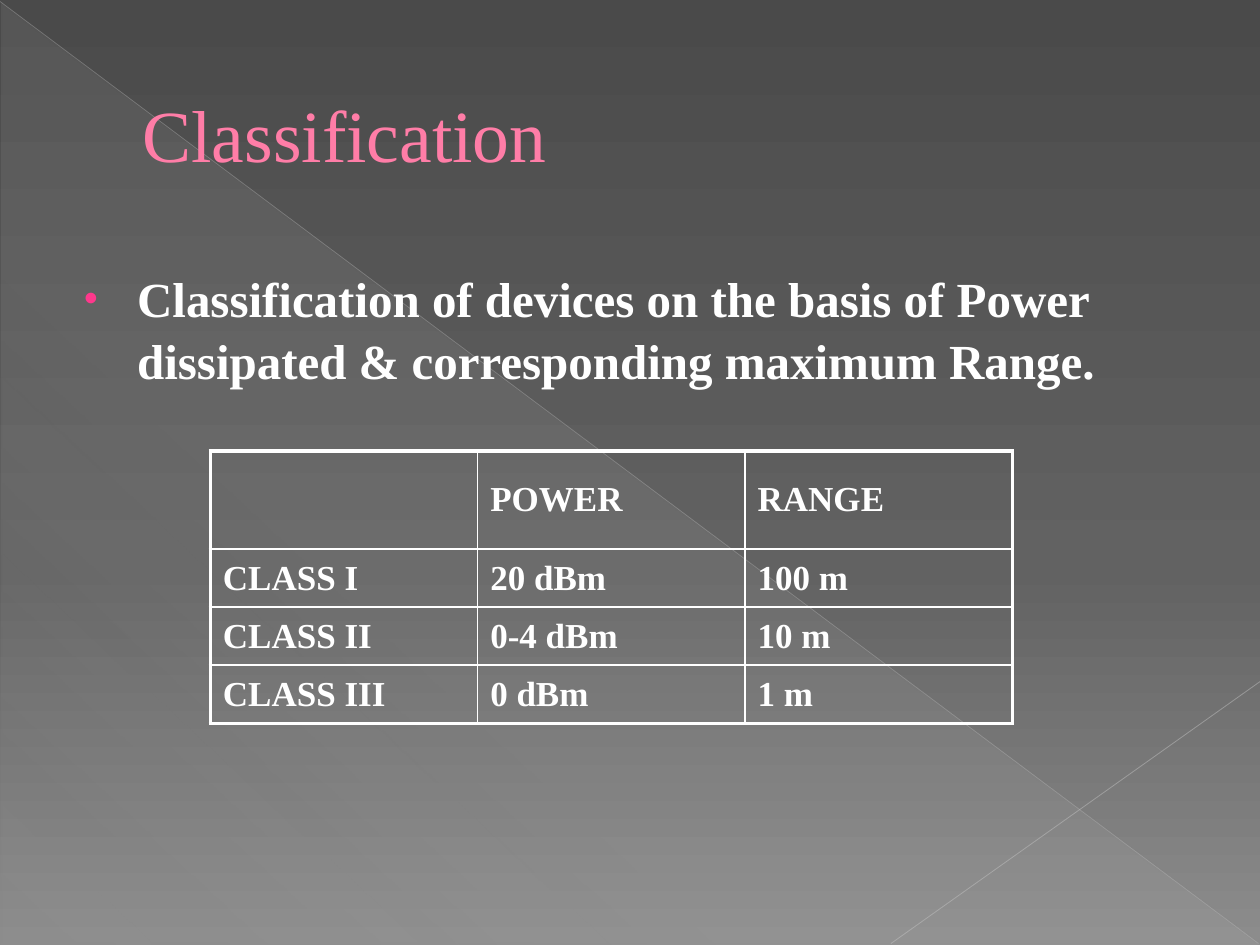
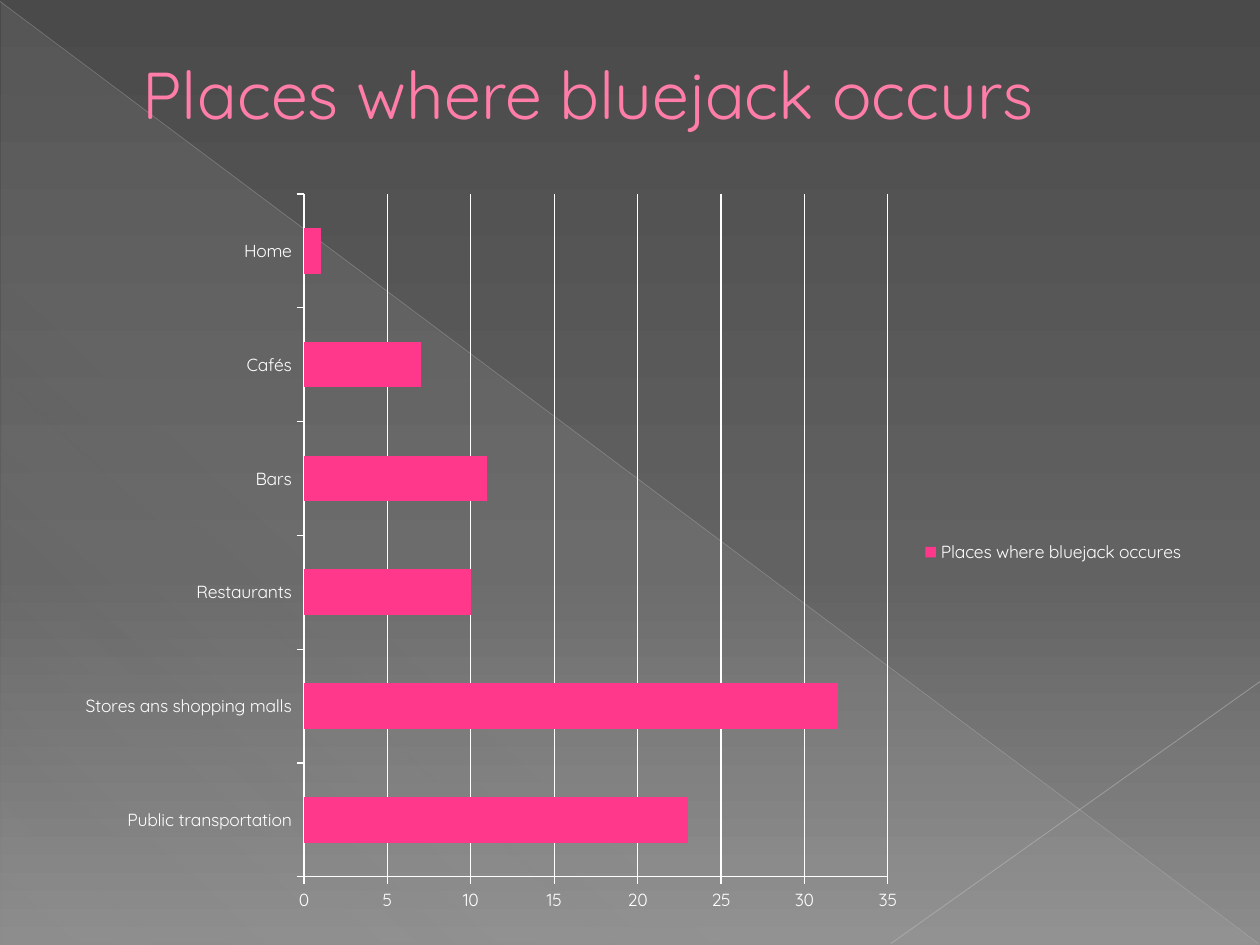
"""Build two slides on wireless device classes and the places where bluejacking occurs."""
import dataclasses
import typing

import pptx
import pptx.chart.data
import pptx.dml.color
import pptx.enum.chart
import pptx.enum.shapes
import pptx.enum.text
import pptx.oxml
import pptx.oxml.ns
import pptx.util

Cm = pptx.util.Cm
Pt = pptx.util.Pt

COLORS = {
    "title": "FF7DA7",
    "title_edge": "B12761",
    "accent": "FF388C",
    "text": "FFFFFF",
    "sky_top": "4A4A4A",
    "sky_mid": "626262",
    "sky_low": "8C8C8C",
    "sheen": "D2D2D2",
    "diagonal": "BFBFBF",
    "corner": "C6C6C6",
}
SERIF = "Times New Roman"
SANS = "Quicksand"


@dataclasses.dataclass(frozen=True)
class Box:
    left: float
    top: float
    width: float
    height: float

    def lengths(self) -> tuple:
        return Cm(self.left), Cm(self.top), Cm(self.width), Cm(self.height)


class Stop(typing.NamedTuple):
    position: int
    color: str
    opacity: int = 100


class Ray(typing.NamedTuple):
    start: tuple
    end: tuple
    color: str
    weight: float
    opacity: int


@dataclasses.dataclass(frozen=True)
class Title:
    text: str
    box: Box
    font: str
    size: float
    anchor: typing.Any
    inset: float


BACKGROUND = [Stop(0, "sky_top"), Stop(60, "sky_mid"), Stop(100, "sky_low")]
SHEEN = [Stop(0, "sheen", 10), Stop(70, "sheen", 8), Stop(100, "sheen", 1)]
RAYS = [
    Ray((0, 0.03), (25.37, 19.02), "diagonal", 0.39, 35),
    Ray((25.4, 13.74), (17.96, 19.02), "corner", 0.47, 45),
]
CLASS_ROWS = [
    ("", "POWER", "RANGE"),
    ("CLASS I", "20 dBm", "100 m"),
    ("CLASS II", "0-4 dBm", "10 m"),
    ("CLASS III", "0 dBm", "1 m"),
]
PLACES = {
    "Public transportation": 23,
    "Stores ans shopping malls": 32,
    "Restaurants": 10,
    "Bars": 11,
    "Cafés": 7,
    "Home": 1,
}


def rgb(name: str) -> pptx.dml.color.RGBColor:
    return pptx.dml.color.RGBColor.from_string(COLORS[name])


def xml(tag: str, inner: str = "", attrs: str = ""):
    ns = pptx.oxml.ns.nsdecls("a")
    return pptx.oxml.parse_xml(f"<a:{tag} {ns} {attrs}>{inner}</a:{tag}>")


def color_xml(name: str, opacity: int = 100) -> str:
    alpha = f'<a:alpha val="{opacity * 1000}"/>' if opacity < 100 else ""
    return f'<a:srgbClr val="{COLORS[name]}">{alpha}</a:srgbClr>'


def set_gradient(grad, stops: list, angle: int) -> None:
    for child in list(grad):
        grad.remove(child)
    inner = "".join(
        f'<a:gs pos="{s.position * 1000}">{color_xml(s.color, s.opacity)}</a:gs>'
        for s in stops
    )
    grad.append(xml("gsLst", inner))
    grad.append(xml("lin", attrs=f'ang="{angle * 60000}" scaled="0"'))


def set_font(font, name: str, size: float, color: str = "text", bold: bool = False) -> None:
    font.name, font.size, font.bold = name, Pt(size), bold
    font.color.rgb = rgb(color)


def add_sheen(slide):
    sp = slide.shapes.add_shape(
        pptx.enum.shapes.MSO_SHAPE.RIGHT_TRIANGLE, *Box(0.03, 0.05, 25.37, 19).lengths()
    )
    sp.shadow.inherit = False
    sp.line.fill.background()
    sp.fill.gradient()
    set_gradient(sp.element.xpath("p:spPr/a:gradFill")[0], SHEEN, 133)
    return sp


def add_ray(slide, ray: Ray):
    ends = [Cm(v) for v in ray.start + ray.end]
    line = slide.shapes.add_connector(pptx.enum.shapes.MSO_CONNECTOR.STRAIGHT, *ends)
    line.line.width = Pt(ray.weight)
    line.line.color.rgb = rgb(ray.color)
    clr = line.element.xpath(".//a:ln//a:srgbClr")[0]
    clr.append(xml("alpha", attrs=f'val="{ray.opacity * 1000}"'))
    line.element.xpath("p:spPr")[0].append(xml("effectLst"))
    return line


def decorate_master(master, slide) -> None:
    master.background.fill.gradient()
    set_gradient(master.element.xpath("p:cSld/p:bg//a:gradFill")[0], BACKGROUND, 90)
    parts = [add_sheen(slide)] + [add_ray(slide, ray) for ray in RAYS]
    for i, sp in enumerate(parts):
        sp.element.xpath(".//p:cNvPr")[0].set("id", str(101 + i))
        master.shapes.element.insert(2 + i, sp.element)


def place(sp, box: Box) -> None:
    sp.left, sp.top, sp.width, sp.height = box.lengths()


def set_indent(sp, left: float, first: float) -> None:
    pPr = sp.element.xpath(".//a:pPr")[0]
    pPr.set("marL", str(Cm(left)))
    pPr.set("indent", str(Cm(first)))


def fill_title(slide, title: Title) -> None:
    sp = slide.shapes.title
    place(sp, title.box)
    tf = sp.text_frame
    tf.text = title.text
    tf.auto_size = pptx.enum.text.MSO_AUTO_SIZE.NONE
    tf.vertical_anchor = title.anchor
    tf.margin_top = tf.margin_bottom = Cm(title.inset)
    p = tf.paragraphs[0]
    p.alignment = pptx.enum.text.PP_ALIGN.LEFT
    set_font(p.font, title.font, title.size, "title")
    set_indent(sp, 1.35, 0)
    edge = f"<a:solidFill>{color_xml('title_edge')}</a:solidFill>"
    sp.element.xpath(".//a:defRPr")[0].insert(0, xml("ln", edge, f'w="{Pt(0.5)}"'))


def fill_body(sp, text: str, box: Box) -> None:
    place(sp, box)
    tf = sp.text_frame
    tf.text = text
    tf.auto_size = pptx.enum.text.MSO_AUTO_SIZE.NONE
    p = tf.paragraphs[0]
    p.space_before = Pt(2)
    p.line_spacing = 1.05
    set_font(p.font, SERIF, 28, bold=True)
    set_indent(sp, 1.24, -1.07)
    rpr = sp.element.xpath(".//a:defRPr")[0]
    rpr.addprevious(xml("buClr", color_xml("accent")))
    rpr.addprevious(xml("buSzPct", attrs='val="80000"'))
    rpr.addprevious(xml("buFont", attrs='typeface="Arial"'))
    rpr.addprevious(xml("buChar", attrs='char="•"'))


def set_borders(cell, outer: dict) -> None:
    tcPr = cell._tc.get_or_add_tcPr()
    for side, is_outer in outer.items():
        width = Pt(2.25 if is_outer else 1)
        fill = f"<a:solidFill>{color_xml('text')}</a:solidFill>"
        tcPr.append(xml(f"ln{side}", fill, f'w="{width}"'))


def add_class_table(slide, rows: list) -> None:
    n_rows, n_cols = len(rows), len(rows[0])
    heights = [1.98] + [1.17] * (n_rows - 1)
    box = Box(4.24, 9.09, 5.39 * n_cols, sum(heights))
    table = slide.shapes.add_table(n_rows, n_cols, *box.lengths()).table
    table.first_row = table.horz_banding = False
    for r, values in enumerate(rows):
        table.rows[r].height = Cm(heights[r])
        for c, value in enumerate(values):
            cell = table.cell(r, c)
            cell.text = value
            cell.vertical_anchor = pptx.enum.text.MSO_ANCHOR.MIDDLE
            set_font(cell.text_frame.paragraphs[0].font, SERIF, 20, bold=True)
            set_borders(cell, {
                "L": c == 0, "R": c == n_cols - 1, "T": r == 0, "B": r == n_rows - 1,
            })
            cell.fill.background()


def add_places_chart(slide, places: dict) -> None:
    data = pptx.chart.data.CategoryChartData()
    data.categories = list(places)
    data.add_series("Places where bluejack occures", list(places.values()))
    chart = slide.shapes.add_chart(
        pptx.enum.chart.XL_CHART_TYPE.BAR_CLUSTERED,
        *Box(1.27, 3.61, 22.86, 15.04).lengths(), data,
    ).chart
    chart.has_title = False
    set_font(chart.font, SANS, 10)
    chart.has_legend = True
    chart.legend.position = pptx.enum.chart.XL_LEGEND_POSITION.RIGHT
    chart.legend.include_in_layout = False
    set_font(chart.legend.font, SANS, 10)
    plot = chart.plots[0]
    plot.gap_width = 150
    plot.vary_by_categories = False
    fill = plot.series[0].format.fill
    fill.solid()
    fill.fore_color.rgb = rgb("accent")
    chart.value_axis.has_major_gridlines = True
    for axis in (chart.category_axis, chart.value_axis):
        axis.major_tick_mark = pptx.enum.chart.XL_TICK_MARK.OUTSIDE
        set_font(axis.tick_labels.font, SANS, 10)
    for part in (chart.category_axis, chart.value_axis, chart.value_axis.major_gridlines):
        part.format.line.color.rgb = rgb("text")
        part.format.line.width = Pt(0.75)


def main() -> None:
    prs = pptx.Presentation()
    prs.slide_width, prs.slide_height = Cm(25.4), Cm(19.05)
    anchors = pptx.enum.text.MSO_ANCHOR

    s = prs.slides.add_slide(prs.slide_layouts[1])
    decorate_master(prs.slide_master, s)
    fill_title(s, Title("Classification", Box(1.27, 0.74, 22.86, 3.89),
                        SERIF, 42, anchors.MIDDLE, 0.13))
    fill_body(s.placeholders[1],
              "Classification of devices on the basis of Power dissipated "
              "& corresponding maximum Range.",
              Box(1.27, 5.23, 22.86, 12.7))
    add_class_table(s, CLASS_ROWS)

    s = prs.slides.add_slide(prs.slide_layouts[5])
    fill_title(s, Title("Places where bluejack occurs", Box(1.27, 1.07, 22.86, 3.07),
                        SANS, 37.8, anchors.TOP, 0))
    add_places_chart(s, PLACES)
    prs.save("out.pptx")


main()
